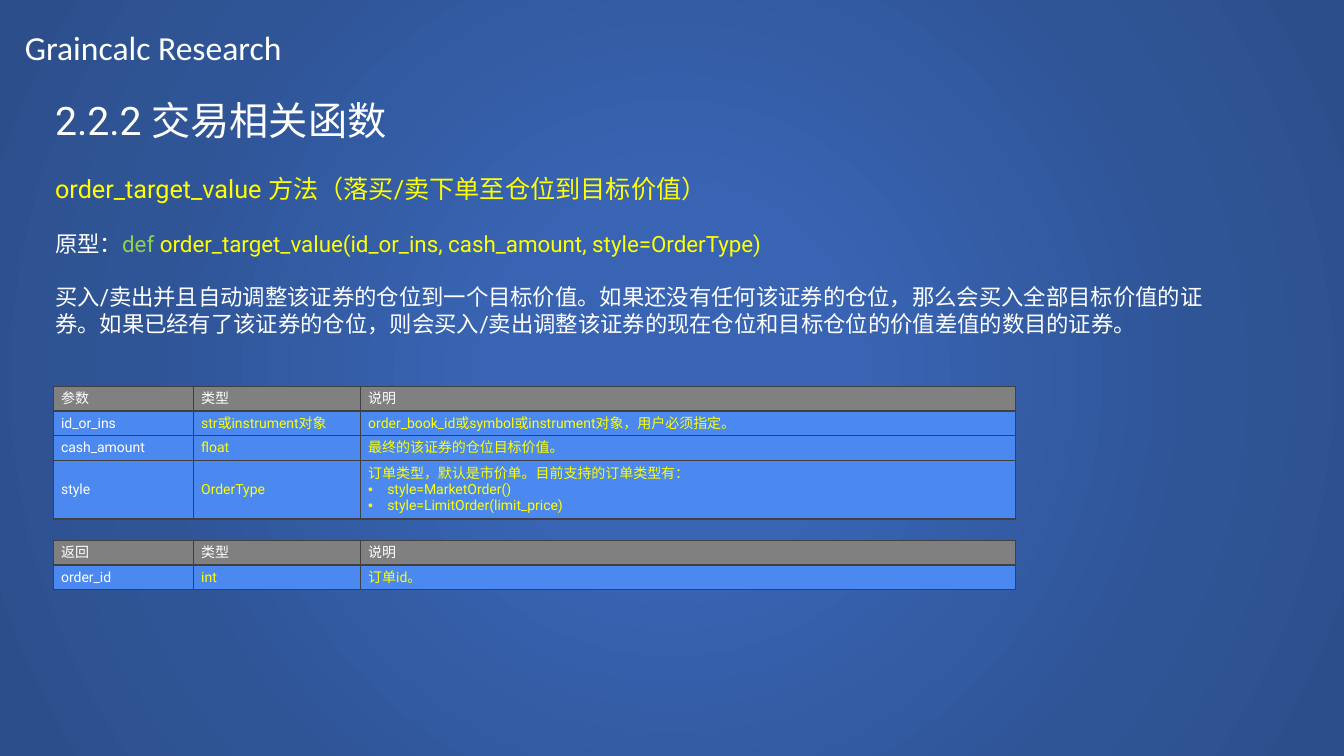
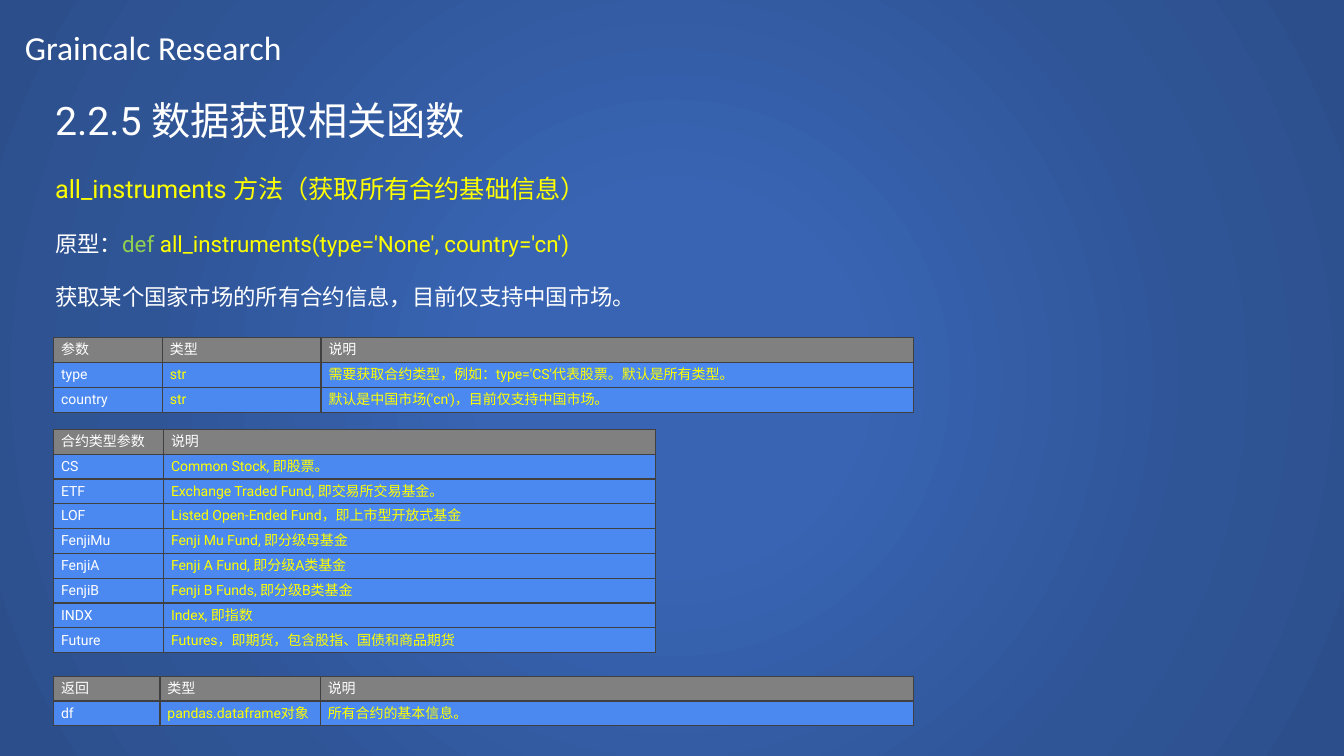
import pptx
import pptx.util
import pptx.dml.color
import pptx.enum.shapes
import pptx.enum.text
import pptx.oxml
import pptx.oxml.ns

Cm, Pt = pptx.util.Cm, pptx.util.Pt

HUES = {
    "white": "FFFFFF", "yellow": "FFFF00", "green": "92D050",
    "head": "808080", "row": "4B89F0", "edge": "404040",
    "core": "3864B3", "mid": "2F5597", "rim": "2C4F8C",
}
STOPS = [(0, "core"), (23, "core"), (69, "mid"), (97, "rim")]
FONT = "Roboto"
BRAND = "Graincalc Research"
WIDE, HIGH = Cm(33.87), Cm(19.05)
LEFT = 1.35
LINE = 0.61
BULLET = "• "

SLIDES = [
    {
        "title": "2.2.2 交易相关函数",
        "topic": "order_target_value 方法（落买/卖下单至仓位到目标价值）",
        "call": "order_target_value(id_or_ins, cash_amount, style=OrderType)",
        "about": "买入/卖出并且自动调整该证券的仓位到一个目标价值。"
                 "如果还没有任何该证券的仓位，那么会买入全部目标价值的证券。"
                 "如果已经有了该证券的仓位，则会买入/卖出调整该证券的现在仓位"
                 "和目标仓位的价值差值的数目的证券。",
        "tall": 7.19,
        "tables": [
            {"top": 9.73, "cols": [3.53, 4.21, 16.5], "rows": [
                ("参数", "类型", "说明"),
                ("id_or_ins", "str或instrument对象",
                 "order_book_id或symbol或instrument对象，用户必须指定。"),
                ("cash_amount", "float", "最终的该证券的仓位目标价值。"),
                ("style", "OrderType",
                 "订单类型，默认是市价单。目前支持的订单类型有：\n"
                 "• style=MarketOrder()\n• style=LimitOrder(limit_price)"),
            ]},
            {"top": 13.61, "cols": [3.53, 4.21, 16.5], "rows": [
                ("返回", "类型", "说明"),
                ("order_id", "int", "订单id。"),
            ]},
        ],
    },
    {
        "title": "2.2.5 数据获取相关函数",
        "topic": "all_instruments 方法（获取所有合约基础信息）",
        "call": "all_instruments(type='None', country='cn')",
        "about": "获取某个国家市场的所有合约信息，目前仅支持中国市场。",
        "tall": 13.33,
        "tables": [
            {"top": 8.51, "cols": [2.74, 4, 14.93], "rows": [
                ("参数", "类型", "说明"),
                ("type", "str",
                 "需要获取合约类型，例如：type='CS'代表股票。默认是所有类型。"),
                ("country", "str", "默认是中国市场('cn')，目前仅支持中国市场。"),
            ]},
            {"top": 10.82, "cols": [2.77, 12.4], "rows": [
                ("合约类型参数", "说明"),
                ("CS", "Common Stock, 即股票。"),
                ("ETF", "Exchange Traded Fund, 即交易所交易基金。"),
                ("LOF", "Listed Open-Ended Fund，即上市型开放式基金"),
                ("FenjiMu", "Fenji Mu Fund, 即分级母基金"),
                ("FenjiA", "Fenji A Fund, 即分级A类基金"),
                ("FenjiB", "Fenji B Funds, 即分级B类基金"),
                ("INDX", "Index, 即指数"),
                ("Future", "Futures，即期货，包含股指、国债和商品期货"),
            ]},
            {"top": 17.04, "cols": [2.68, 4.04, 14.95], "rows": [
                ("返回", "类型", "说明"),
                ("df", "pandas.dataframe对象", "所有合约的基本信息。"),
            ]},
        ],
    },
]


def shade(hue):
    return pptx.dml.color.RGBColor.from_string(HUES[hue])


def node(tag, inner="", attrs=""):
    """Build one DrawingML element."""
    space = pptx.oxml.ns.nsdecls("a")
    return pptx.oxml.parse_xml(f"<a:{tag} {space} {attrs}>{inner}</a:{tag}>")


def write(para, text, size, hue, face=FONT):
    run = para.add_run()
    run.text = text
    run.font.size = Pt(size)
    run.font.name = face
    run.font.color.rgb = shade(hue)
    props = run.font._element
    props.set("lang", "zh-CN")
    props.find(pptx.oxml.ns.qn("a:latin")).addnext(
        node("ea", attrs=f'typeface="{face}"'))


def frame(slide, left, top, wide, tall):
    box = slide.shapes.add_textbox(Cm(left), Cm(top), Cm(wide), Cm(tall))
    box.text_frame.word_wrap = True
    return box.text_frame


def paint(slide):
    """Cover the slide with the round gradient."""
    back = slide.shapes.add_shape(
        pptx.enum.shapes.MSO_SHAPE.RECTANGLE, 0, 0, WIDE, HIGH)
    back.shadow.inherit = False
    back.line.fill.background()
    stops = "".join(
        f'<a:gs pos="{at * 1000}"><a:srgbClr val="{HUES[hue]}"/></a:gs>'
        for at, hue in STOPS)
    sides = " ".join(f'{side}="50000"' for side in "ltrb")
    back.fill.solid()
    plain = back._element.spPr.find(pptx.oxml.ns.qn("a:solidFill"))
    plain.getparent().replace(plain, node(
        "gradFill",
        f'<a:gsLst>{stops}</a:gsLst>'
        f'<a:path path="circle"><a:fillToRect {sides}/></a:path>'))


def intro(slide, page):
    """Write title, topic, prototype and description."""
    parts = [
        (0, 28, [(page["title"], "white")]),
        (21, 18, [(page["topic"], "yellow")]),
        (19, 16, [("原型：", "white"), ("def ", "green"),
                  (page["call"], "yellow")]),
        (19, 16, [(page["about"], "white")]),
    ]
    body = frame(slide, 1.14, 2.31, 29.9, page["tall"])
    for i, (gap, size, runs) in enumerate(parts):
        para = body.add_paragraph() if i else body.paragraphs[0]
        para.space_before = Pt(gap)
        for text, hue in runs:
            write(para, text, size, hue)


def fill(cell, text, hue, ground):
    cell.margin_left = cell.margin_right = Cm(0.19)
    cell.margin_top = cell.margin_bottom = Cm(0.1)
    cell.vertical_anchor = pptx.enum.text.MSO_ANCHOR.MIDDLE
    cell.fill.solid()
    cell.fill.fore_color.rgb = shade(ground)
    props = cell._tc.get_or_add_tcPr()
    for i, side in enumerate("LRTB"):
        props.insert(i, node(
            "ln" + side,
            f'<a:solidFill><a:srgbClr val="{HUES["edge"]}"/></a:solidFill>',
            f'w="{Pt(1)}"'))
    for i, line in enumerate(text.split("\n")):
        para = (cell.text_frame.add_paragraph() if i
                else cell.text_frame.paragraphs[0])
        if line.startswith(BULLET):
            props = para._p.get_or_add_pPr()
            props.set("marL", str(Cm(0.48)))
            props.set("indent", str(-Cm(0.48)))
            props.append(node("buFont", attrs='typeface="Arial"'))
            props.append(node("buChar", attrs='char="•"'))
        write(para, line.removeprefix(BULLET), 10, hue)


def grid(slide, top, cols, rows):
    # Each extra line of text in a row adds 0.43 cm.
    talls = [LINE + 0.43 * max(text.count("\n") for text in row)
             for row in rows]
    table = slide.shapes.add_table(
        len(rows), len(cols), Cm(LEFT), Cm(top),
        Cm(sum(cols)), Cm(sum(talls))).table
    table.horz_banding = False
    for col, wide in zip(table.columns, cols):
        col.width = Cm(wide)
    for r, row in enumerate(rows):
        table.rows[r].height = Cm(talls[r])
        for c, text in enumerate(row):
            fill(table.cell(r, c), text,
                 "yellow" if r and c else "white", "row" if r else "head")


def main():
    deck = pptx.Presentation()
    deck.slide_width, deck.slide_height = WIDE, HIGH
    for page in SLIDES:
        slide = deck.slides.add_slide(deck.slide_layouts[6])
        paint(slide)
        intro(slide, page)
        brand = frame(slide, 0.38, 0.56, 12.8, 1.27)
        write(brand.paragraphs[0], BRAND, 24, "white", "Calibri")
        for table in page["tables"]:
            grid(slide, **table)
    deck.save("out.pptx")


if __name__ == "__main__":
    main()
